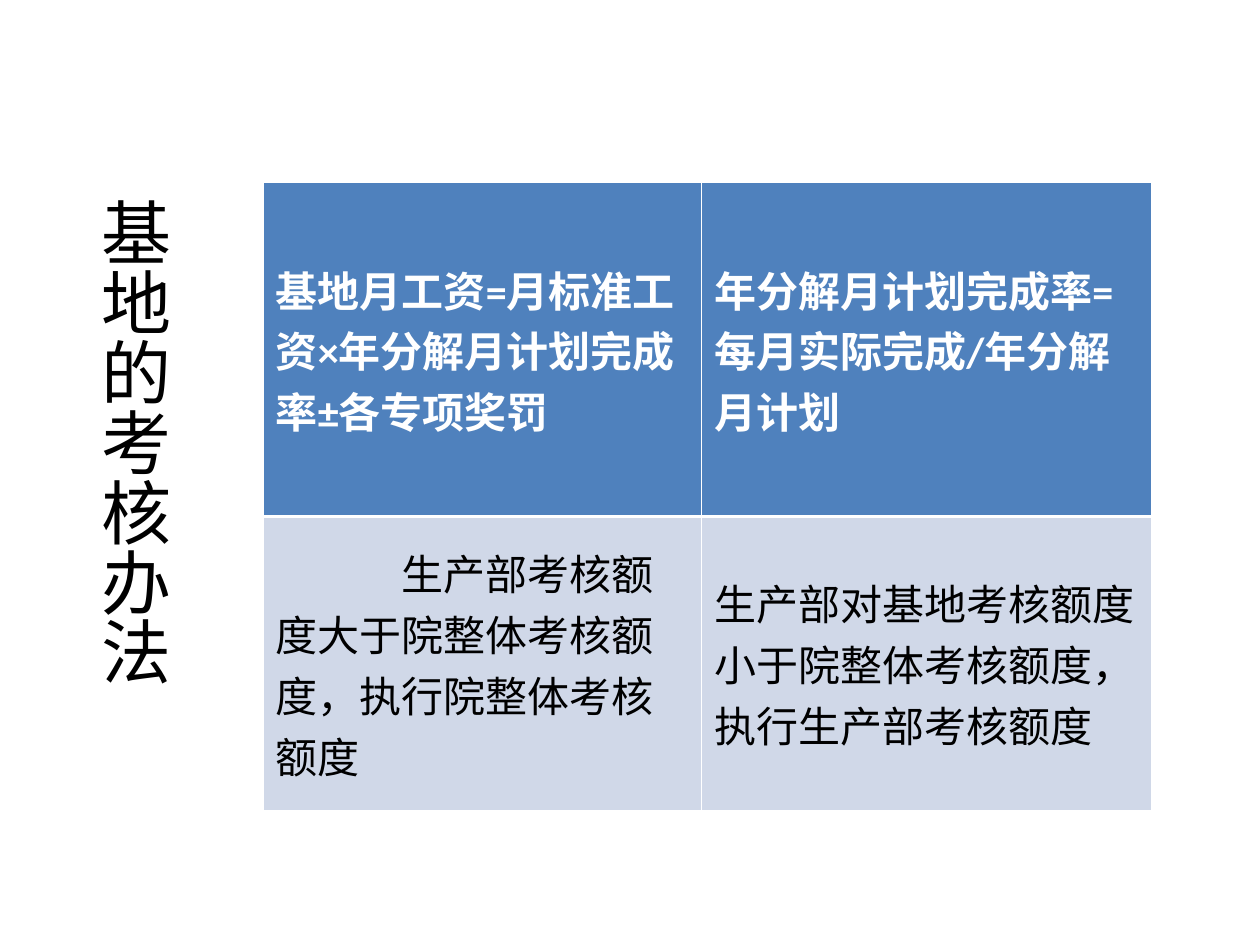
from lxml import etree
from pptx import Presentation
from pptx.dml.color import RGBColor
from pptx.enum.text import MSO_ANCHOR, MSO_AUTO_SIZE, PP_ALIGN
from pptx.oxml.ns import qn
from pptx.util import Inches, Pt

MIDDLE = MSO_ANCHOR.MIDDLE
CENTER = PP_ALIGN.CENTER
GROW = MSO_AUTO_SIZE.SHAPE_TO_FIT_TEXT

COLORS = {"head": "4F81BD", "body": "D0D8E8", "white": "FFFFFF", "black": "000000"}
THIN, THICK = 0.45, 1.47


class Deck:
    def __init__(self, width, height):
        self.prs = Presentation()
        self.prs.slide_width = Inches(width)
        self.prs.slide_height = Inches(height)
        self.slide = self.prs.slides.add_slide(self.prs.slide_layouts[6])

    def label(self, para, text, color, **style):
        run = para.add_run()
        run.text = text
        for name, value in style.items():
            setattr(run.font, name, value)
        run.font.color.rgb = RGBColor.from_string(COLORS[color])

    def title(self, text, *place):
        """Add a title that runs from top to bottom."""
        frame = self.slide.shapes.add_textbox(*map(Inches, place)).text_frame
        layout = {
            "margin_left": Inches(0.05), "margin_right": Inches(0.05),
            "margin_top": Inches(0.1), "margin_bottom": Inches(0.1),
            "word_wrap": True, "auto_size": GROW,
        }
        for name, value in layout.items():
            setattr(frame, name, value)
        frame._txBody.find(qn("a:bodyPr")).set("vert", "eaVert")
        para = frame.paragraphs[0]
        para.alignment = CENTER
        self.label(para, text, "black", name="Arial", size=Pt(40))

    def border(self, cell, **widths):
        props = cell._tc.get_or_add_tcPr()
        for side, width in widths.items():
            line = etree.SubElement(props, qn(f"a:ln{side}"), w=str(Pt(width)))
            fill = etree.SubElement(line, qn("a:solidFill"))
            etree.SubElement(fill, qn("a:srgbClr"), val=COLORS["white"])

    def cell(self, cell, text, head, indent):
        cell.vertical_anchor = MIDDLE
        self.border(cell, L=THIN, R=THIN, T=THIN if head else THICK,
                    B=THICK if head else THIN)
        cell.fill.solid()
        shade = COLORS["head" if head else "body"]
        cell.fill.fore_color.rgb = RGBColor.from_string(shade)
        para = cell.text_frame.paragraphs[0]
        para._p.get_or_add_pPr().set("indent", str(Inches(indent)))
        self.label(para, text, "white" if head else "black",
                   name="Calibri", size=Pt(24), bold=head)

    def table(self, rows, left, top, widths, heights, indents):
        """Add a table whose first row is the heading."""
        grid = self.slide.shapes.add_table(
            len(heights), len(widths), Inches(left), Inches(top),
            Inches(sum(widths)), Inches(sum(heights))).table
        for col, width in zip(grid.columns, widths):
            col.width = Inches(width)
        for row, height in zip(grid.rows, heights):
            row.height = Inches(height)
        for r, texts in enumerate(rows):
            for c, text in enumerate(texts):
                self.cell(grid.cell(r, c), text, r == 0, indents.get((r, c), 0))


def main():
    deck = Deck(10, 7.5)

    # Vertical title
    deck.title("基地的考核办法", 0.59, 1.47, 0.86, 4.64)

    # Pay formulas above, quota rules below
    rules = [
        ["基地月工资=月标准工资×年分解月计划完成率±各专项奖罚",
         "年分解月计划完成率=每月实际完成/年分解月计划"],
        ["生产部考核额度大于院整体考核额度，执行院整体考核额度",
         "生产部对基地考核额度小于院整体考核额度，执行生产部考核额度"],
    ]
    deck.table(rules, 2.09, 1.45, [3.48, 3.57], [2.65, 2.33], {(1, 0): 1})

    deck.prs.save("out.pptx")


if __name__ == "__main__":
    main()
